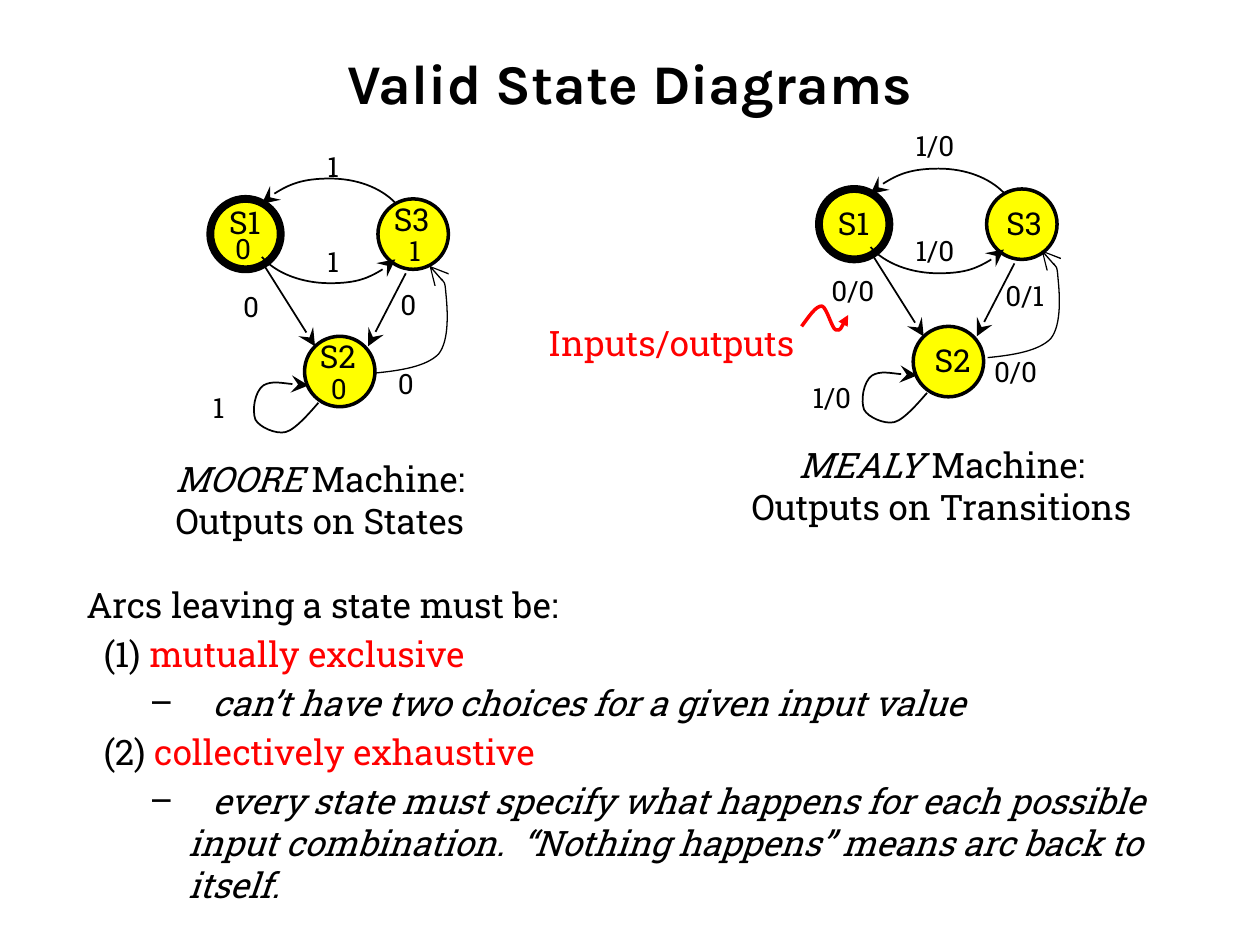
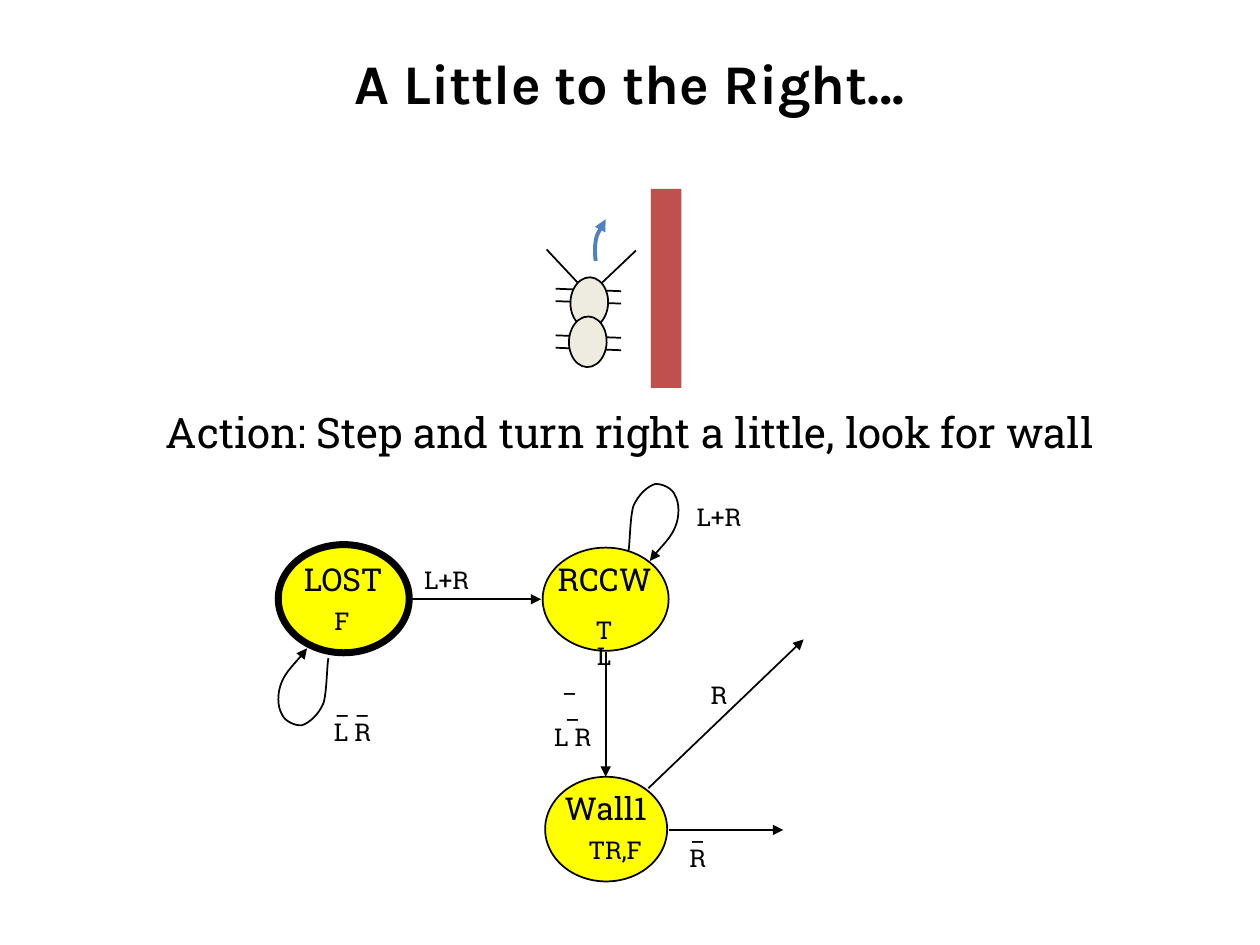
from lxml.etree import SubElement
from pptx import Presentation
from pptx.dml.color import RGBColor
from pptx.enum.shapes import MSO_CONNECTOR, MSO_SHAPE
from pptx.enum.text import MSO_ANCHOR, MSO_AUTO_SIZE, PP_ALIGN
from pptx.oxml.ns import qn
from pptx.util import Cm, Pt

BLACK, RED, YELLOW = "000000", "FF0000", "FFFF00"
BRICK, BLUE, CREAM = "C0504D", "4F81BD", "EEECE1"
HEAD, BODY = "Karla", "Roboto Slab"

ARC_UP = [(3.73, .08), (3.43, -.23), (2.95, -.41), (2.41, -.41),
          (1.85, -.41), (1.32, -.2), (1.04, .1)]
ARC_DOWN = [(1.04, 1.17), (1.32, 1.5), (1.85, 1.7), (2.41, 1.7),
            (2.95, 1.7), (3.43, 1.52), (3.73, 1.22)]
SELF_ARC = [(2.18, 4.11), (2.08, 4.22), (1.73, 4.65), (1.52, 4.7),
            (1.32, 4.75), (.99, 4.6), (.91, 4.45), (.84, 4.27),
            (.89, 3.89), (1.07, 3.76), (1.24, 3.66), (1.8, 3.76), (1.98, 3.76)]
SWING = [(0, 0), (.51, -.05), (1.02, -.13), (1.27, -.38), (1.5, -.66),
         (1.45, -1.3), (1.42, -1.6), (1.4, -1.88), (1.24, -2.03), (1.09, -2.16)]
WAVE = [(5.36, .23), (5.51, .03), (5.64, -.18), (5.77, -.18), (5.87, -.15),
        (5.97, .28), (6.05, .3), (6.15, .33), (6.3, 0), (6.3, 0)]
TEAR = [(0, 0), (-.03, .15), (-.03, .69), (-.1, .91), (-.2, 1.14),
        (-.38, 1.3), (-.53, 1.35), (-.66, 1.37), (-.89, 1.27), (-.94, 1.12),
        (-1.02, .99), (-1.04, .71), (-.94, .48), (-.86, .28),
        (-.53, -.05), (-.43, -.2)]
TURN = [(.99, .84), (.97, .71), (.97, .56), (.99, .43),
        (1.02, .28), (1.12, .15), (1.19, 0)]

MOORE = [("S1", .13, .03, 18), ("S3", 3.45, -.03, 18), ("S2", 1.96, 2.74, 18),
         ("0", .25, .61, 16), ("1", 3.76, .64, 16), ("0", 2.18, 3.43, 16),
         ("0", .41, 1.78, 16), ("0", 3.58, 1.73, 16), ("1", -.2, 3.81, 16),
         ("1", 2.11, -1.04, 16), ("1", 2.11, .86, 16), ("0", 3.53, 3.33, 16)]
MEALY = [("S1", .13, .25, 18), ("S3", 3.53, .25, 18), ("S2", 2.08, 3.02, 18),
         ("0/0", 0, 1.65, 16), ("0/1", 3.51, 1.75, 16), ("1/0", -.38, 3.81, 16),
         ("1/0", 1.7, -1.27, 16), ("1/0", 1.7, .84, 16), ("0/0", 3.28, 3.28, 16)]
TAGS = [("LOST", .25, 1.55, 2.18, 18), ("F", .97, 2.46, .69, 14),
        ("RCCW", 5.38, 1.55, 2.46, 18), ("Wall1", 5.54, 6.17, 2.18, 18),
        ("TR,F", 6.07, 7.09, 1.5, 14), ("L+R", 2.74, 1.63, 1.37, 14),
        ("L+R", 8.23, .36, 1.37, 14), ("R", 8.56, 3.96, .71, 14),
        ("_\nR", 8.13, 6.71, .71, 14), ("_ _\nL R", .94, 4.17, 1.17, 14),
        ("_  _\nL R", 5.38, 3.73, 1.17, 14)]


def color(code):
    """Turn a hex string into a colour."""
    return RGBColor.from_string(code)


def ink(shape, code, width, head=None):
    """Set the line of a shape, with an optional arrowhead at its end."""
    shape.line.color.rgb = color(code)
    shape.line.width = Pt(width)
    if head:
        size = "med" if head == "triangle" else "lg"
        SubElement(shape.element.spPr.find(qn("a:ln")), qn("a:tailEnd"),
                   type=head, w=size, len=size)


def line(slide, x1, y1, x2, y2, head=None):
    """Draw a straight black line."""
    link = slide.shapes.add_connector(
        MSO_CONNECTOR.STRAIGHT, Cm(x1), Cm(y1), Cm(x2), Cm(y2))
    ink(link, BLACK, 1, head)
    SubElement(link.element.spPr, qn("a:effectLst"))


def curve(slide, x, y, knots, head, code=BLACK, width=1, sign=1):
    """Draw a chain of cubic curves as an open outline with an arrowhead."""
    dots = [(Cm(x + sign * a), Cm(y + sign * b)) for a, b in knots]
    pen = slide.shapes.build_freeform(*dots[0])
    pen.add_line_segments(dots[1:], close=False)
    shape = pen.convert_to_shape()
    route = next(shape.element.spPr.iter(qn("a:path")))
    legs = route.findall(qn("a:lnTo"))
    for i, leg in enumerate(legs):
        if i % 3 == 0:
            bend = SubElement(route, qn("a:cubicBezTo"))
        bend.append(leg[0])
        route.remove(leg)
    shape.shadow.inherit = False
    shape.fill.background()
    ink(shape, code, width, head)


def solid(slide, kind, x, y, w, h, fill, width=0):
    """Draw a filled preset shape, outlined in black if a width is given."""
    shape = slide.shapes.add_shape(kind, Cm(x), Cm(y), Cm(w), Cm(h))
    shape.shadow.inherit = False
    shape.fill.solid()
    shape.fill.fore_color.rgb = color(fill)
    if width:
        ink(shape, BLACK, width)
    else:
        shape.line.fill.background()
    return shape


def style(para, size, code=BLACK, face=BODY, bold=None):
    """Set the font of a paragraph."""
    font = para.font
    font.name, font.size, font.bold = face, Pt(size), bold
    font.color.rgb = color(code)


def frame(slide, x, y, w, h, wrap=False, pad=(.25, .13)):
    """Add an empty text box and return its frame."""
    area = slide.shapes.add_textbox(Cm(x), Cm(y), Cm(w), Cm(h)).text_frame
    area.word_wrap = wrap
    area.auto_size = MSO_AUTO_SIZE.NONE if wrap else MSO_AUTO_SIZE.SHAPE_TO_FIT_TEXT
    area.margin_left = area.margin_right = Cm(pad[0])
    area.margin_top = area.margin_bottom = Cm(pad[1])
    return area


def label(area, words, size, code=BLACK, align=PP_ALIGN.LEFT, space=.9):
    """Fill a frame with lines of one style."""
    area.text = words
    for para in area.paragraphs:
        para.alignment, para.line_spacing = align, space
        style(para, size, code)


def tag(slide, words, x, y, w, size, wrap=False):
    """Place a centred label with narrow margins."""
    rows = words.count("\n") + 1
    area = frame(slide, x, y, w, rows * .6 + .1, wrap, (.18, .08))
    label(area, words, size, align=PP_ALIGN.CENTER)


def begin(deck, words):
    """Add a slide with its title."""
    slide = deck.slides.add_slide(deck.slide_layouts[5])
    title = slide.shapes.title
    title.left, title.top, title.width, title.height = Cm(1.27), Cm(.76), Cm(22.86), Cm(1.78)
    area = title.text_frame
    area.text = words
    area.vertical_anchor = MSO_ANCHOR.MIDDLE
    area.paragraphs[0].alignment = PP_ALIGN.CENTER
    style(area.paragraphs[0], 32, face=HEAD, bold=True)
    return slide


def machine(slide, x, y, labels, swing):
    """Draw a three-state machine whose first state sits at x, y."""
    for dx, dy, width in ((0, 0, 4.5), (3.38, 0, 2), (1.9, 2.77, 2)):
        solid(slide, MSO_SHAPE.OVAL, x + dx, y + dy, 1.42, 1.42, YELLOW, width)
    line(slide, x + 1.04, y + 1.27, x + 2.11, y + 2.97, "stealth")
    line(slide, x + 3.94, y + 1.5, x + 3.18, y + 2.97, "stealth")
    for knots in (ARC_UP, ARC_DOWN, SELF_ARC):
        curve(slide, x, y, knots, "stealth")
    curve(slide, x + swing[0], y + swing[1], SWING, "arrow", width=.75)
    for words, dx, dy, size in labels:
        wide = 1.37 if size == 18 else .53 + .36 * len(words)
        label(frame(slide, x + dx, y + dy, wide, size * .055), words, size)


def caption(slide, x, y, w, name, rest):
    """Name a machine in italics and say where its outputs are."""
    area = frame(slide, x, y, w, 1.96)
    area.text = "\n" + rest
    first = area.paragraphs[0]
    for words, slant in ((name, True), (" Machine:", False)):
        run = first.add_run()
        run.text, run.font.italic = words, slant
    for para in area.paragraphs:
        para.alignment = PP_ALIGN.CENTER
        style(para, 20)


def note(slide, x, y):
    """Point at a transition label with a red wave."""
    label(frame(slide, x, y, 5.94, 1.12), "Inputs/outputs", 20, RED, space=1.0)
    curve(slide, x, y, WAVE, "triangle", RED, 2)


def rules(slide, x, y, w, h):
    """List the rules for arcs."""
    area = frame(slide, x, y, w, h, True)
    area.text = "Arcs leaving a state must be:"
    style(area.paragraphs[0], 20)
    pairs = [("mutually exclusive", "can’t have two choices for a given input value"),
             ("collectively exhaustive",
              "every state must specify what happens for each possible input "
              "combination.  “Nothing happens” means arc back to itself.")]
    for num, (rule, why) in enumerate(pairs, 1):
        para = area.add_paragraph()
        para.space_before = Pt(4)
        para._p.get_or_add_pPr().set("marL", str(Cm(.35)))
        para.add_run().text = f"({num}) "
        run = para.add_run()
        run.text, run.font.color.rgb = rule, color(RED)
        style(para, 20)

        para = area.add_paragraph()
        para.level, para.space_before = 1, Pt(4)
        props = para._p.get_or_add_pPr()
        props.set("marL", str(Cm(2.06)))
        props.set("indent", str(Cm(-.79)))
        SubElement(props, qn("a:buFont"), typeface=BODY)
        SubElement(props, qn("a:buChar"), char="–")
        para.add_run().text = "\t" + why
        style(para, 20)
        para.font.italic = True


def bug(slide, x, y):
    """Draw the bug and the arrow of its turn."""
    line(slide, x + 1.8, y + .63, x + 1.02, y + 1.37)
    line(slide, x, y + .61, x + .74, y + 1.4)
    for dy in (1.4, 1.65, 2.34, 2.59):
        line(slide, x + .18, y + dy, x + 1.5, y + dy + .05)
    for dx, dy in ((.48, 1.17), (.45, 1.96)):
        part = solid(slide, MSO_SHAPE.OVAL, x + dx, y + dy, .76, 1.02, CREAM, 1)
        part.rotation = 1.9
    curve(slide, x, y, TURN, "triangle", BLUE, 2.25)


def graph(slide, x, y):
    """Draw the states of the bug and the arcs between them."""
    for dx, dy, w, h, width in ((.03, 1.24, 2.64, 2.18, 4), (5.36, 1.3, 2.54, 2.08, 1),
                                (5.41, 5.92, 2.46, 2.11, 1)):
        solid(slide, MSO_SHAPE.OVAL, x + dx, y + dy, w, h, YELLOW, width)
    for x1, y1, x2, y2 in ((2.64, 2.34, 5.33, 2.34), (6.63, 3.4, 6.63, 5.92),
                           (7.9, 6.99, 10.21, 6.99), (7.49, 6.15, 10.62, 3.15)):
        line(slide, x + x1, y + y1, x + x2, y + y2, "triangle")
    curve(slide, x + 1.04, y + 3.53, TEAR, "triangle")
    curve(slide, x + 7.09, y + 1.37, TEAR, "triangle", sign=-1)
    for words, dx, dy, w, size in TAGS:
        tag(slide, words, x + dx, y + dy, w, size)
    tag(slide, "TL", x + 6.16, y + 2.64, .88, 14, True)


def main():
    """Build both slides and save them."""
    deck = Presentation()
    deck.slide_width, deck.slide_height = Cm(25.4), Cm(19.05)

    slide = begin(deck, "Valid State Diagrams")
    machine(slide, 4.24, 4.01, MOORE, (3.33, 3.51))
    caption(slide, 2.9, 9.09, 7.11, "MOORE", "Outputs on States")
    machine(slide, 16.51, 3.81, MEALY, (3.4, 3.4))
    caption(slide, 14.63, 8.81, 8.71, "MEALY", "Outputs on Transitions")
    note(slide, 10.8, 6.35)
    rules(slide, 1.49, 11.63, 22.43, 6.55)

    slide = begin(deck, "A Little to the Right…")
    graph(slide, 5.58, 9.74)
    solid(slide, MSO_SHAPE.RECTANGLE, 13.12, 3.81, .62, 4.01, BRICK)
    bug(slide, 11.02, 4.42)
    area = frame(slide, 1.06, 8.26, 23.29, 1.07, True, (.18, .08))
    label(area, "Action: Step and turn right a little, look for wall", 24,
          align=PP_ALIGN.CENTER, space=.87)
    deck.save("out.pptx")


if __name__ == "__main__":
    main()
